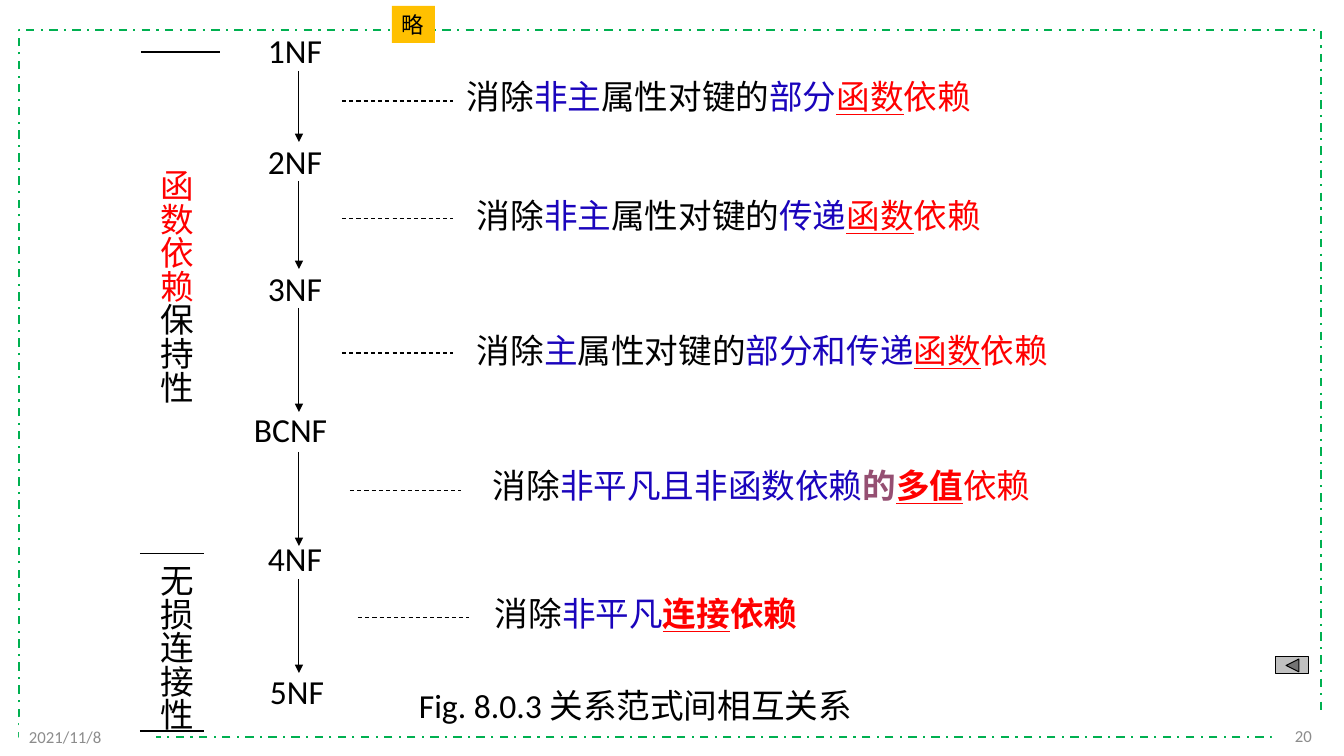
import pptx
import pptx.util
import pptx.dml.color
import pptx.enum.dml
import pptx.enum.shapes
import pptx.enum.text
import pptx.oxml.ns
from lxml import etree

RGB = pptx.dml.color.RGBColor
SHAPE = pptx.enum.shapes.MSO_SHAPE
DASH = pptx.enum.dml.MSO_LINE
ALIGN = pptx.enum.text.PP_ALIGN
ANCHOR = pptx.enum.text.MSO_ANCHOR
FIT = pptx.enum.text.MSO_AUTO_SIZE

BLACK = RGB(0x00, 0x00, 0x00)
WHITE = RGB(0xFF, 0xFF, 0xFF)
RED = RGB(0xFF, 0x00, 0x00)
BLUE = RGB(0x1A, 0x04, 0xBC)
PLUM = RGB(0x95, 0x4F, 0x72)
GREEN = RGB(0x00, 0xB0, 0x50)
AMBER = RGB(0xFF, 0xC0, 0x00)
SILVER = RGB(0xC0, 0xC0, 0xC0)
GREY = RGB(0x8C, 0x8C, 0x8C)

EMU_PER_PX = 914400 / 100.8
ROW_HEIGHT = 50
ARROW_X = 299
DASH_LENGTH = 111

# A run is (text, colour, style); style holds "b" for bold, "u" for underlined.
REMOVE = ("消除", BLACK, "")
OF_KEY = ("属性对键的", BLACK, "")
FUNCTIONAL = [("函数", RED, "u"), ("依赖", RED, "")]

# name, left, top, width
NORMAL_FORMS = [
    ("1NF", 258, 25, 77),
    ("2NF", 258, 136, 75),
    ("3NF", 258, 263, 75),
    ("BCNF", 244, 404, 94),
    ("4NF", 258, 533, 75),
    ("5NF", 260, 666, 75),
]
# arrow top, arrow bottom, dash left, dash y, text left, text top, text width, runs
STEPS = [
    (71, 142, 342, 101, 457, 71, 525,
     [REMOVE, ("非主", BLUE, ""), OF_KEY, ("部分", BLUE, "")] + FUNCTIONAL),
    (181, 269, 342, 219, 467, 190, 525,
     [REMOVE, ("非主", BLUE, ""), OF_KEY, ("传递", BLUE, "")] + FUNCTIONAL),
    (308, 412, 342, 353, 467, 325, 593,
     [REMOVE, ("主", BLUE, ""), OF_KEY, ("部分和传递", BLUE, "")] + FUNCTIONAL),
    (452, 546, 350, 491, 483, 460, 560,
     [REMOVE, ("非平凡且非函数依赖", BLUE, ""), ("的", PLUM, "b"),
      ("多值", RED, "bu"), ("依赖", RED, "")]),
    (579, 673, 358, 618, 485, 588, 324,
     [REMOVE, ("非平凡", BLUE, ""), ("连接", RED, "bu"), ("依赖", RED, "b")]),
]
# left, right, y
RANGE_MARKS = [(141, 220, 52), (140, 204, 554), (140, 204, 731)]
# box, wraps, runs
RANGE_NAMES = [
    ((140, 159, 61, 370), True, [("函数依赖", RED, ""), ("保持性", BLACK, "")]),
    ((140, 554, 61, 179), False, [("无损连接性", BLACK, "")]),
]
CAPTION = "Fig. 8.0.3 关系范式间相互关系"

deck = pptx.Presentation()


def px(length):
    return pptx.util.Emu(round(length * EMU_PER_PX))


deck.slide_width, deck.slide_height = px(1344), px(756)
slide = deck.slides.add_slide(deck.slide_layouts[6])


def put_shape(preset, box, fill=None, line=None, width=0.75, dash=None):
    shape = slide.shapes.add_shape(preset, *map(px, box))
    shape.shadow.inherit = False
    if fill is None:
        shape.fill.background()
    else:
        shape.fill.solid()
        shape.fill.fore_color.rgb = fill
    if line is None:
        shape.line.fill.background()
    else:
        shape.line.color.rgb = line
        shape.line.width = pptx.util.Pt(width)
        if dash:
            shape.line.dash_style = dash
    return shape


def put_text(text, box, size=24, color=BLACK, align=ALIGN.LEFT, anchor=ANCHOR.TOP,
             wrap=False, vertical=False, fill=None, grow=True):
    """Text is a string or a list of runs; a fill puts it on a rectangle."""
    if fill is None:
        holder = slide.shapes.add_textbox(*map(px, box))
    else:
        holder = put_shape(SHAPE.RECTANGLE, box, fill=fill)
    frame = holder.text_frame
    frame.word_wrap = wrap
    frame.auto_size = FIT.SHAPE_TO_FIT_TEXT if grow else FIT.NONE
    frame.vertical_anchor = anchor
    if vertical:
        frame._txBody.bodyPr.set("vert", "eaVert")
    paragraph = frame.paragraphs[0]
    paragraph.alignment = align
    runs = [(text, color, "")] if isinstance(text, str) else text
    for words, run_color, style in runs:
        run = paragraph.add_run()
        run.text = words
        run.font.name = "Calibri"
        run.font.size = pptx.util.Pt(size)
        run.font.color.rgb = run_color
        run.font.bold = "b" in style
        run.font.underline = "u" in style


def put_line(x1, y1, x2, y2, dash=None, arrow=False):
    line = slide.shapes.add_connector(
        pptx.enum.shapes.MSO_CONNECTOR.STRAIGHT, px(x1), px(y1), px(x2), px(y2))
    line.line.color.rgb = BLACK
    line.line.width = pptx.util.Pt(0.75)
    if dash:
        line.line.dash_style = dash
    qn = pptx.oxml.ns.qn
    properties = line._element.spPr
    if arrow:
        etree.SubElement(properties.find(qn("a:ln")), qn("a:tailEnd"), type="triangle")
    etree.SubElement(properties, qn("a:effectLst"))


put_shape(SHAPE.RECTANGLE, (19, 30, 1302, 707), line=GREEN, width=1.5, dash=DASH.DASH_DOT)
footer = dict(size=12, color=GREY, anchor=ANCHOR.MIDDLE, fill=WHITE, wrap=True, grow=False)
put_text("20", (1272, 716, 50, 40), align=ALIGN.RIGHT, **footer)
put_text("2021/11/8", (19, 717, 137, 40), **footer)

for name, left, top, width in NORMAL_FORMS:
    put_text(name, (left, top, width, ROW_HEIGHT))

for start, end, dash_left, dash_y, left, top, width, runs in STEPS:
    put_line(ARROW_X, start, ARROW_X, end, arrow=True)
    put_line(dash_left, dash_y, dash_left + DASH_LENGTH, dash_y, dash=DASH.DASH)
    put_text(runs, (left, top, width, ROW_HEIGHT))

for left, right, y in RANGE_MARKS:
    put_line(left, y, right, y)
for box, wraps, runs in RANGE_NAMES:
    put_text(runs, box, wrap=wraps, vertical=True)

put_text(CAPTION, (409, 680, 472, ROW_HEIGHT))
put_shape(SHAPE.ACTION_BUTTON_BACK_OR_PREVIOUS, (1276, 657, 33, 17), fill=SILVER, line=BLACK)
put_text("略", (392, 6, 43, 37), size=16, fill=AMBER)

deck.save("out.pptx")
